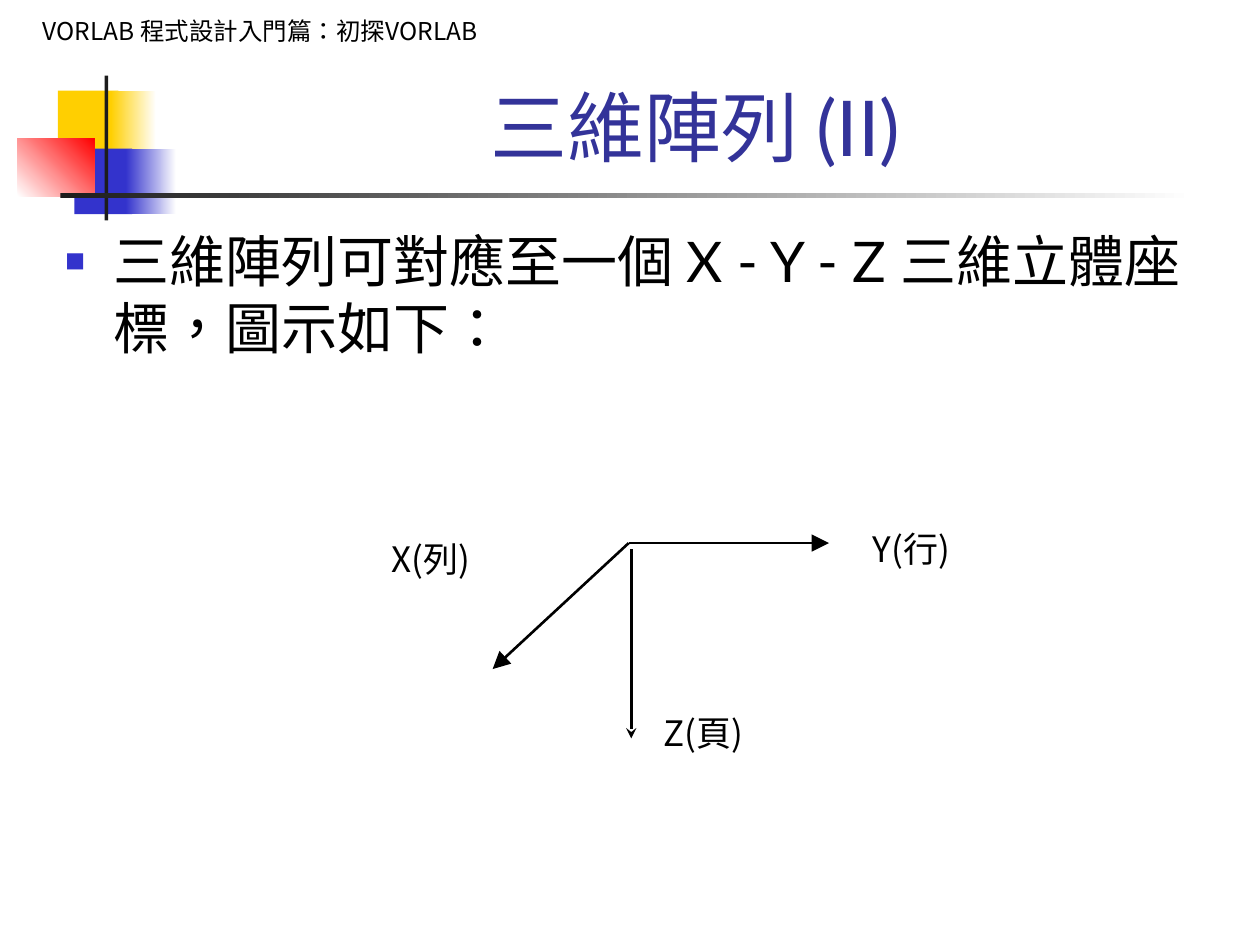
from lxml.etree import SubElement
from pptx import Presentation
from pptx.dml.color import RGBColor
from pptx.enum.shapes import MSO_CONNECTOR, MSO_SHAPE
from pptx.enum.text import MSO_ANCHOR, PP_ALIGN
from pptx.oxml.ns import qn
from pptx.util import Inches, Pt

COLORS = {
    "yellow": "FFCF01", "blue": "3333CC", "red": "FF0000", "dark": "1C1C1C",
    "white": "FFFFFF", "title": "333399", "text": "000000",
}
LATIN, CJK = "Lato", "Noto Sans CJK SC"


def rgb(name):
    return RGBColor.from_string(COLORS[name])


class SlideBuilder:
    """Holds the style and the current slide."""

    def __init__(self, prs):
        self.slide = prs.slides.add_slide(prs.slide_layouts[6])

    def rect(self, box, color, end=None, angle=0):
        """Rectangle with a plain fill, or a gradient from color to end."""
        sp = self.slide.shapes.add_shape(MSO_SHAPE.RECTANGLE, *map(Inches, box))
        sp.shadow.inherit = False
        sp.line.fill.background()
        if end is None:
            sp.fill.solid()
            sp.fill.fore_color.rgb = rgb(color)
        else:
            sp.fill.gradient()
            sp.fill.gradient_angle = angle
            for stop, name in zip(sp.fill.gradient_stops, (color, end)):
                stop.color.rgb = rgb(name)

    def text(self, box, text, size, font=CJK, color="text", align=PP_ALIGN.LEFT,
             anchor=MSO_ANCHOR.TOP, before=0):
        """Text box with one paragraph; returns the paragraph."""
        tf = self.slide.shapes.add_textbox(*map(Inches, box)).text_frame
        tf.word_wrap = True
        tf.vertical_anchor = anchor
        tf.text = text
        p = tf.paragraphs[0]
        p.alignment = align
        p.space_before = Pt(before)
        r = p.runs[0]
        r.font.size = Pt(size)
        r.font.name = font
        r.font.color.rgb = rgb(color)
        rPr = r.font._element
        rPr.set("lang", "zh-TW")
        SubElement(rPr, qn("a:ea")).set("typeface", CJK)
        return p

    def bullet(self, p, indent, char, color, percent):
        """Hanging bullet for a paragraph."""
        pPr = p._p.get_or_add_pPr()
        pPr.set("marL", str(Inches(indent)))
        pPr.set("indent", str(-Inches(indent)))
        clr = SubElement(pPr, qn("a:buClr"))
        SubElement(clr, qn("a:srgbClr")).set("val", COLORS[color])
        SubElement(pPr, qn("a:buSzPct")).set("val", str(percent * 1000))
        SubElement(pPr, qn("a:buFont")).set("typeface", CJK)
        SubElement(pPr, qn("a:buChar")).set("char", char)

    def arrow(self, start, end, kind="triangle", size="lg"):
        """Straight line with an arrowhead at its end."""
        line = self.slide.shapes.add_connector(
            MSO_CONNECTOR.STRAIGHT, *map(Inches, start + end))
        line.line.color.rgb = rgb("text")
        line.line.width = Pt(1.5)
        tail = SubElement(line.line._get_or_add_ln(), qn("a:tailEnd"))
        for key, value in (("type", kind), ("w", size), ("len", size)):
            tail.set(key, value)
        SubElement(line._element.spPr, qn("a:effectLst"))


def main():
    prs = Presentation()
    prs.slide_width, prs.slide_height = Inches(10), Inches(7.5)
    s = SlideBuilder(prs)

    # Corner decoration and title rule
    s.rect((0.46, 0.72, 0.48, 0.52), "yellow")
    s.rect((0.88, 0.72, 0.36, 0.52), "yellow", "white")
    s.rect((0.59, 1.18, 0.46, 0.52), "blue")
    s.rect((1, 1.18, 0.4, 0.52), "blue", "white")
    s.rect((0.14, 1.1, 0.61, 0.46), "white", "red", angle=45)
    s.rect((0.83, 0.6, 0.03, 1.15), "dark")
    s.rect((0.48, 1.53, 9, 0.04), "dark", "white")

    # Header, title and body
    header = (0.08, 0.08, 3.97, 0.34)
    s.rect(header, "white")
    s.text(header, "VORLAB 程式設計入門篇：初探VORLAB", 14,
           align=PP_ALIGN.CENTER, before=8.8)
    s.text((1.26, 0.58, 8.52, 0.83), "三維陣列 (II)", 44, LATIN, "title",
           PP_ALIGN.CENTER, MSO_ANCHOR.BOTTOM)
    body = s.text((0.42, 1.75, 9.38, 5.08),
                  "三維陣列可對應至一個 X - Y - Z 三維立體座標，圖示如下：",
                  32, LATIN, before=8)
    s.bullet(body, 0.38, "■", "blue", 36)

    # Axes
    origin = (4.99, 4.31)
    s.arrow((5.01, 4.36), (5.01, 5.86), "stealth", "med")
    s.arrow(origin, (6.58, 4.31))
    s.arrow(origin, (3.91, 5.31))

    # Axis labels
    for left, top, label, align in (
        (5.17, 5.6, "Z(頁)", PP_ALIGN.LEFT),
        (6.83, 4.14, "Y(行)", PP_ALIGN.LEFT),
        (2.66, 4.22, "X(列)", PP_ALIGN.RIGHT),
    ):
        s.text((left, top, 1.17, 0.44), label, 20, align=align, before=12.5)

    prs.save("out.pptx")


if __name__ == "__main__":
    main()
